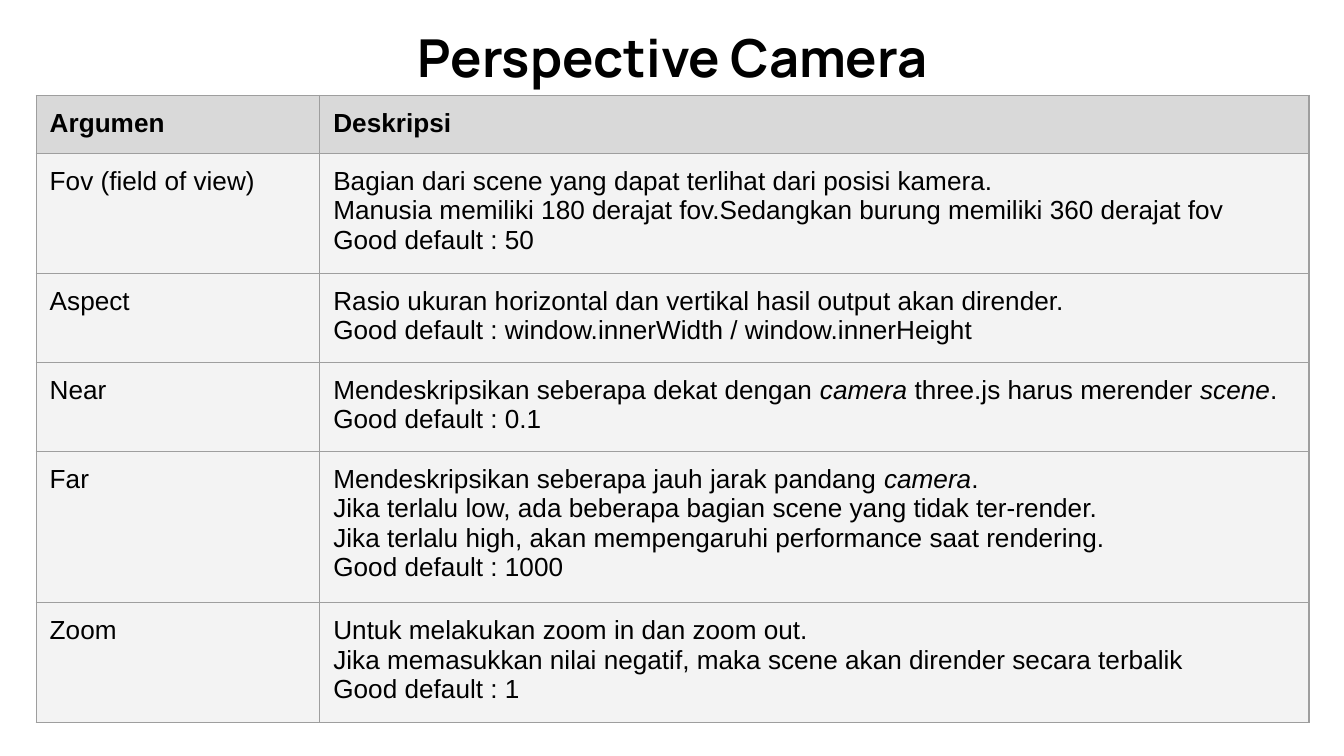
from dataclasses import dataclass

from lxml.etree import SubElement
from pptx import Presentation
from pptx.dml.color import RGBColor
from pptx.enum.text import MSO_ANCHOR, MSO_AUTO_SIZE, PP_ALIGN
from pptx.oxml.ns import qn
from pptx.util import Inches, Pt


@dataclass(frozen=True)
class Theme:
    text: str = "000000"
    header: str = "D9D9D9"
    body: str = "F3F3F3"
    border: str = "9E9E9E"
    title_font: str = "Manrope"
    body_font: str = "Arial"
    title_size: int = 28
    body_size: int = 14
    line_height: float = 16.64
    border_width: float = 0.75
    inset: float = 0.1


THEME = Theme()
LEFT, TABLE_TOP = 0.27, 0.71
COLUMN_WIDTHS = (2.11, 7.36)

# Asterisks enclose italic words
ROWS = [
    ("Argumen", ["Deskripsi"]),
    ("Fov (field of view)", [
        "Bagian dari scene yang dapat terlihat dari posisi kamera.",
        "Manusia memiliki 180 derajat fov.Sedangkan burung memiliki 360 derajat fov",
        "Good default : 50"]),
    ("Aspect", [
        "Rasio ukuran horizontal dan vertikal hasil output akan dirender.",
        "Good default : window.innerWidth / window.innerHeight"]),
    ("Near", [
        "Mendeskripsikan seberapa dekat dengan *camera* three.js harus merender *scene*.",
        "Good default : 0.1"]),
    ("Far", [
        "Mendeskripsikan seberapa jauh jarak pandang *camera*.",
        "Jika terlalu low, ada beberapa bagian scene yang tidak ter-render.",
        "Jika terlalu high, akan mempengaruhi performance saat rendering.",
        "Good default : 1000"]),
    ("Zoom", [
        "Untuk melakukan zoom in dan zoom out.",
        "Jika memasukkan nilai negatif, maka scene akan dirender secara terbalik",
        "Good default : 1"]),
]


def style_font(font, name, size, bold):
    font.name = name
    font.size = Pt(size)
    font.bold = bold
    font.color.rgb = RGBColor.from_string(THEME.text)


def set_margins(target):
    target.margin_left = target.margin_right = Inches(THEME.inset)
    target.margin_top = target.margin_bottom = Inches(THEME.inset)


def add_title(s, text):
    title = s.shapes.title
    title.left, title.top = Inches(LEFT), Inches(0.09)
    title.width, title.height = Inches(sum(COLUMN_WIDTHS)), Inches(0.63)
    tf = title.text_frame
    tf.text = text
    tf.word_wrap = True
    tf.auto_size = MSO_AUTO_SIZE.NONE
    tf.vertical_anchor = MSO_ANCHOR.TOP
    set_margins(tf)
    p = tf.paragraphs[0]
    p.alignment = PP_ALIGN.CENTER
    style_font(p.runs[0].font, THEME.title_font, THEME.title_size, True)


def set_borders(cell):
    tc_pr = cell._tc.get_or_add_tcPr()
    for index, side in enumerate(("lnL", "lnR", "lnT", "lnB")):
        line = SubElement(tc_pr, qn(f"a:{side}"), w=str(Pt(THEME.border_width)))
        fill = SubElement(line, qn("a:solidFill"))
        SubElement(fill, qn("a:srgbClr"), val=THEME.border)
        tc_pr.insert(index, line)  # borders come before the fill


def fill_cell(cell, lines, header):
    set_margins(cell)
    cell.vertical_anchor = MSO_ANCHOR.TOP
    cell.fill.solid()
    cell.fill.fore_color.rgb = RGBColor.from_string(
        THEME.header if header else THEME.body)
    set_borders(cell)
    tf = cell.text_frame
    for i, line in enumerate(lines):
        p = tf.add_paragraph() if i else tf.paragraphs[0]
        for j, part in enumerate(line.split("*")):
            r = p.add_run()
            r.text = part
            style_font(r.font, THEME.body_font, THEME.body_size, header)
            r.font.italic = j % 2 == 1


def add_argument_table(s):
    heights = [Inches(2 * THEME.inset) + Pt(THEME.line_height * len(lines))
               for _, lines in ROWS]
    table = s.shapes.add_table(
        len(ROWS), len(COLUMN_WIDTHS), Inches(LEFT), Inches(TABLE_TOP),
        Inches(sum(COLUMN_WIDTHS)), sum(heights)).table
    table.horz_banding = False
    for column, width in zip(table.columns, COLUMN_WIDTHS):
        column.width = Inches(width)
    for i, (argument, lines) in enumerate(ROWS):
        table.rows[i].height = heights[i]
        fill_cell(table.cell(i, 0), [argument], i == 0)
        fill_cell(table.cell(i, 1), lines, i == 0)


def main():
    prs = Presentation()
    # Widescreen, 16:9
    prs.slide_width = Inches(10)
    prs.slide_height = Inches(10) * 9 // 16
    s = prs.slides.add_slide(prs.slide_layouts[5])
    add_title(s, "Perspective Camera")
    add_argument_table(s)
    prs.save("out.pptx")


if __name__ == "__main__":
    main()
